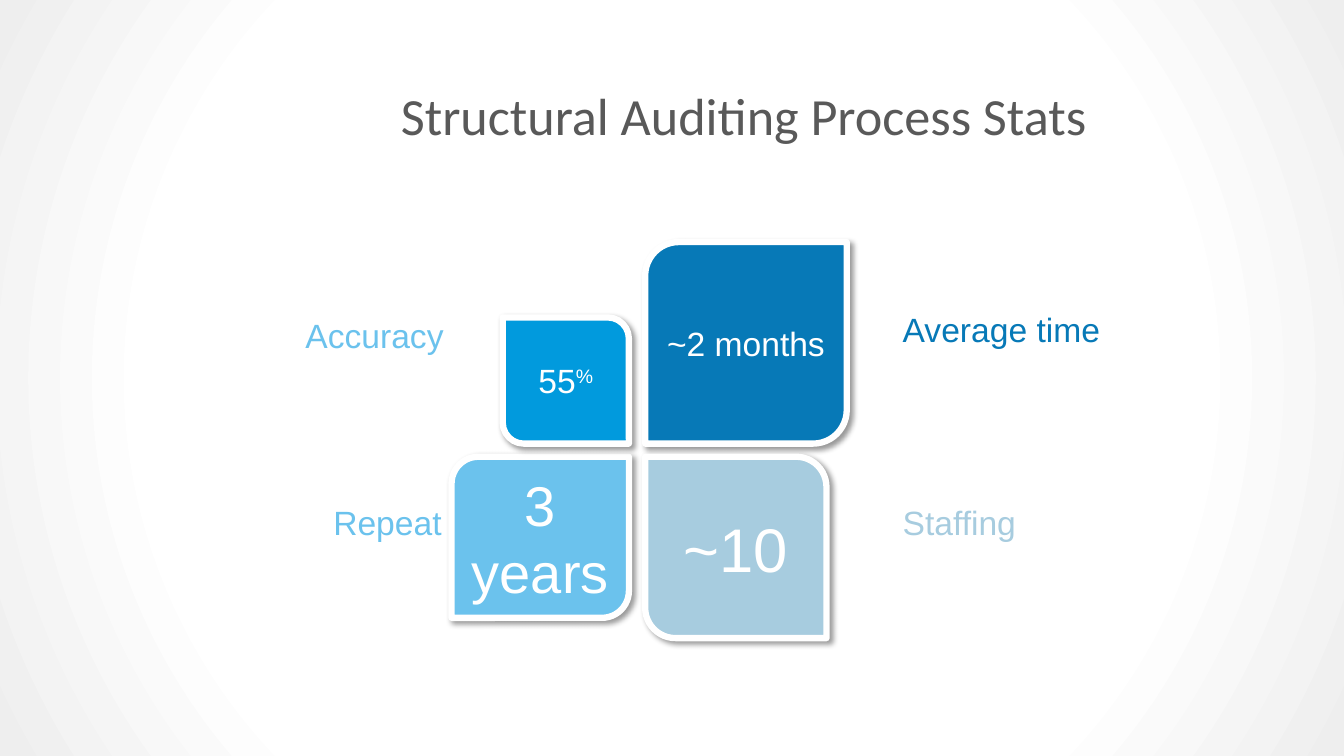
import pptx
import pptx.util
import pptx.dml.color
import pptx.enum.shapes
import pptx.enum.text
import pptx.oxml
import pptx.oxml.ns

Cm, Pt = pptx.util.Cm, pptx.util.Pt
Align = pptx.enum.text.PP_ALIGN
Anchor = pptx.enum.text.MSO_ANCHOR
NS = pptx.oxml.ns.nsdecls("a")
WHITE = "FFFFFF"

# Inner edges of the four petals, in cm
LEFT, RIGHT, TOP, BASE = 15.85, 16.26, 11.18, 11.51

# column, row, width, height, fill, size, runs (text, raised)
PETALS = [
    ("right", "top", 5.08, 5.08, "0779B7", 24, [("~2 months", False)]),
    ("left", "base", 4.47, 4.06, "6BC2ED", 40, [("3 years", False)]),
    ("left", "top", 3.18, 3.18, "019ADD", 24, [("55", False), ("%", True)]),
    ("right", "base", 4.57, 4.57, "A7CCDF", 44, [("~10", False)]),
]
# text, left, top, alignment, colour
LABELS = [
    ("Repeat", 2.57, 12.52, Align.RIGHT, "6BC2ED"),
    ("Average time", 22.5, 7.67, Align.LEFT, "0779B7"),
    ("Staffing", 22.5, 12.52, Align.LEFT, "A7CCDF"),
    ("Accuracy", 2.62, 7.82, Align.RIGHT, "6BC2ED"),
]


def tint(color, code):
    color.rgb = pptx.dml.color.RGBColor.from_string(code)


def apply(item, values):
    for name, value in values.items():
        setattr(item, name, value)


def write(shape, runs, size, code, align, font="Arial", anchor=Anchor.TOP):
    frame = shape.text_frame
    apply(frame, {"word_wrap": True, "vertical_anchor": anchor,
                  "auto_size": pptx.enum.text.MSO_AUTO_SIZE.NONE})
    para = frame.paragraphs[0]
    para.alignment = align
    for text, raised in runs:
        run = para.add_run()
        run.text = text
        apply(run.font, {"name": font, "size": Pt(size)})
        tint(run.font.color, code)
        if raised:
            run.font._element.set("baseline", "30000")


def shade(shape):
    """Give the shape a soft shadow to the lower right."""
    shape.shadow.inherit = False
    shape._element.spPr.find(pptx.oxml.ns.qn("a:effectLst")).append(
        pptx.oxml.parse_xml(
            f'<a:outerShdw {NS} blurRad="{Pt(4)}" dist="{Pt(3)}" '
            'dir="2700000" algn="tl" rotWithShape="0"><a:srgbClr val="000000">'
            '<a:alpha val="40000"/></a:srgbClr></a:outerShdw>'))


def paint(slide):
    """Fill the background with a circular gradient."""
    slide.background.fill.solid()
    solid = next(slide.element.iter(pptx.oxml.ns.qn("a:solidFill")))
    stops = "".join(
        f'<a:gs pos="{pos * 1000}"><a:srgbClr val="{code}"/></a:gs>'
        for pos, code in [(0, WHITE), (67, WHITE), (100, "EEEEEE")])
    solid.getparent().replace(solid, pptx.oxml.parse_xml(
        f'<a:gradFill {NS} rotWithShape="1"><a:gsLst>{stops}</a:gsLst>'
        '<a:path path="circle"><a:fillToRect l="50000" t="50000" '
        'r="50000" b="50000"/></a:path></a:gradFill>'))


def petal(slide, col, row, width, height, code, size, runs):
    left = RIGHT if col == "right" else LEFT - width
    top = BASE if row == "base" else TOP - height
    shape = slide.shapes.add_shape(
        pptx.enum.shapes.MSO_SHAPE.ROUND_2_DIAG_RECTANGLE,
        Cm(left), Cm(top), Cm(width), Cm(height))
    rising = (col, row) in [("right", "top"), ("left", "base")]
    bends = (0.167, 0) if rising else (0, 0.167)
    for i, bend in enumerate(bends):
        shape.adjustments[i] = bend
    shape.fill.solid()
    tint(shape.fill.fore_color, code)
    tint(shape.line.color, WHITE)
    shape.line.width = Pt(4.5)
    shade(shape)
    write(shape, runs, size, WHITE, Align.CENTER, anchor=Anchor.MIDDLE)


def label(slide, text, left, top, align, code):
    box = slide.shapes.add_textbox(Cm(left), Cm(top), Cm(8.81), Cm(1.27))
    write(box, [(text, False)], 24, code, align)


def head(slide, text):
    title = slide.shapes.title
    apply(title, {"left": Cm(8.69), "top": Cm(1.96),
                  "width": Cm(20.12), "height": Cm(1.85)})
    write(title, [(text, False)], 37.3, "595959", Align.CENTER, "Calibri")


def main():
    deck = pptx.Presentation()
    apply(deck, {"slide_width": Cm(33.87), "slide_height": Cm(19.05)})
    slide = deck.slides.add_slide(deck.slide_layouts[5])
    paint(slide)
    head(slide, "Structural Auditing Process Stats")
    for row in PETALS:
        petal(slide, *row)
    for row in LABELS:
        label(slide, *row)
    deck.save("out.pptx")


if __name__ == "__main__":
    main()
